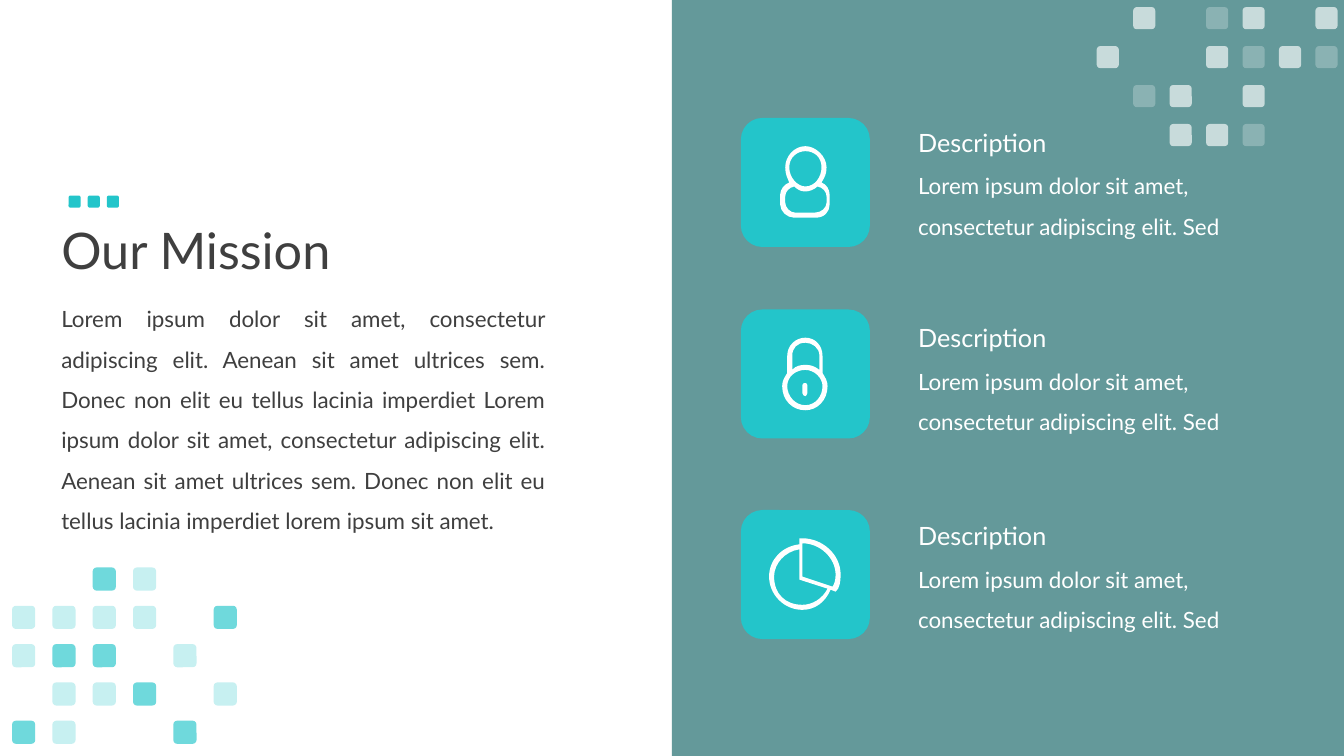
from pptx import Presentation
from pptx.dml.color import RGBColor
from pptx.enum.shapes import MSO_SHAPE
from pptx.enum.text import MSO_ANCHOR, MSO_AUTO_SIZE, PP_ALIGN
from pptx.oxml.ns import qn
from pptx.util import Inches, Pt
from lxml import etree

RECTANGLE, ROUNDED = MSO_SHAPE.RECTANGLE, MSO_SHAPE.ROUNDED_RECTANGLE
MIDDLE, TOP = MSO_ANCHOR.MIDDLE, MSO_ANCHOR.TOP
LEFT, JUSTIFY = PP_ALIGN.LEFT, PP_ALIGN.JUSTIFY
FIXED, GROW = MSO_AUTO_SIZE.NONE, MSO_AUTO_SIZE.SHAPE_TO_FIT_TEXT

WIDTH, HEIGHT = 40 / 3, 7.5
FONT = "Lato"
TEAL = RGBColor(0x12, 0x63, 0x65)
TURQUOISE = RGBColor(0x23, 0xC5, 0xCA)
WHITE = RGBColor(0xFF, 0xFF, 0xFF)
DARK = RGBColor(0x3F, 0x3F, 0x3F)

TEXT_LEFT, TILE_LEFT, DESCRIPTION_LEFT = 0.51, 7.35, 9.01
TILE = 1.28
OPACITY = {"S": 65, "f": 25, "#": 100}  # strong, faint and solid squares

MISSION = (
    "Lorem ipsum dolor sit amet, consectetur adipiscing elit. Aenean sit amet "
    "ultrices sem. Donec non elit eu tellus lacinia imperdiet Lorem ipsum dolor "
    "sit amet, consectetur adipiscing elit. Aenean sit amet ultrices sem. Donec "
    "non elit eu tellus lacinia imperdiet lorem ipsum sit amet."
)
DESCRIPTION = "Lorem ipsum dolor sit amet, consectetur adipiscing elit. Sed"

# Contours in hundredths of an inch from the tile's corner:
# two numbers are a start or straight line, six are a cubic curve.
PERSON = [
    [(80, 64), (83, 59, 85, 56, 85, 49), (85, 38, 74, 28, 64, 28),
     (53, 28, 44, 38, 44, 49), (44, 56, 46, 59, 48, 64),
     (43, 66, 39, 71, 39, 76), (39, 86), (39, 93, 46, 99, 53, 99),
     (74, 99), (83, 99, 88, 93, 88, 86), (88, 76), (88, 71, 85, 66, 80, 64)],
    [(48, 49), (48, 39, 56, 33, 64, 33), (73, 33, 80, 39, 80, 49),
     (80, 59, 73, 68, 64, 68), (56, 68, 48, 59, 48, 49)],
    [(85, 84), (85, 89, 80, 94, 73, 94), (54, 94), (49, 94, 44, 89, 44, 84),
     (44, 78), (44, 73, 48, 69, 53, 68), (56, 71, 59, 73, 64, 73),
     (68, 73, 73, 71, 76, 68), (81, 69, 85, 73, 85, 78)],
]
LOCK = [
    [(64, 73), (63, 73, 61, 73, 61, 75), (61, 83), (61, 85, 63, 86, 64, 86),
     (64, 86, 66, 85, 66, 83), (66, 75), (66, 73, 64, 73, 64, 73)],
    [(81, 63), (81, 46), (81, 36, 74, 28, 64, 28), (54, 28, 46, 36, 46, 46),
     (46, 63), (43, 68, 41, 71, 41, 76), (41, 90, 51, 100, 64, 100),
     (76, 100, 86, 90, 86, 76), (86, 71, 84, 68, 81, 63)],
    [(51, 46), (51, 38, 56, 33, 64, 33), (71, 33, 78, 38, 78, 46), (78, 60),
     (73, 56, 69, 55, 64, 55), (59, 55, 54, 56, 51, 60)],
    [(64, 95), (54, 95, 46, 86, 46, 76), (46, 67, 54, 60, 64, 60),
     (73, 60, 81, 68, 81, 76), (81, 86, 74, 95, 64, 95)],
]
PIE = [
    [(61, 28), (58, 28), (58, 34), (41, 36, 28, 49, 28, 66),
     (28, 84, 43, 99, 61, 99), (74, 99, 84, 91, 89, 79), (94, 81),
     (98, 78, 99, 71, 99, 64), (99, 44, 81, 28, 61, 28)],
    [(61, 94), (44, 94, 33, 83, 33, 66), (33, 53, 44, 41, 58, 39), (58, 69),
     (86, 78), (81, 88, 71, 94, 61, 94)],
    [(91, 76), (61, 66), (61, 33), (79, 33, 94, 48, 94, 64),
     (94, 69, 93, 73, 91, 76)],
]

# Icon, top of its tile, top of its heading
ITEMS = [(PERSON, 1.17, 1.21), (LOCK, 3.07, 3.15), (PIE, 5.06, 5.11)]
TOP_SQUARES = [".S.fS.S", "S..SfSf", ".fS.S..", "..SSf.."]
BOTTOM_SQUARES = ["..Sf..", "ffff.S", "fSS.f.", ".ffS.f", "Sf..S."]


def paint(shape, color, opacity=100):
    shape.shadow.inherit = False
    shape.line.fill.background()
    shape.fill.solid()
    shape.fill.fore_color.rgb = color
    if opacity < 100:
        color_element = shape.fill._xPr.find(".//" + qn("a:srgbClr"))
        etree.SubElement(color_element, qn("a:alpha"), val=str(opacity * 1000))


def add_block(shapes, kind, left, top, width, height, color, opacity=100):
    shape = shapes.add_shape(
        kind, Inches(left), Inches(top), Inches(width), Inches(height))
    paint(shape, color, opacity)


def add_text(slide, text, left, top, width, height, size, color,
             spacing=None, align=LEFT, anchor=TOP, fit=GROW):
    box = slide.shapes.add_textbox(
        Inches(left), Inches(top), Inches(width), Inches(height))
    frame = box.text_frame
    frame.word_wrap = True
    frame.auto_size = fit
    frame.vertical_anchor = anchor
    paragraph = frame.paragraphs[0]
    paragraph.text = text
    paragraph.alignment = align
    paragraph.line_spacing = spacing
    paragraph.font.name = FONT
    paragraph.font.size = Pt(size)
    paragraph.font.color.rgb = color


def add_squares(slide, pattern, left, top, column, row, size, color):
    """Draw one group of squares, one per letter of the pattern."""
    group = slide.shapes.add_group_shape()
    for y, marks in enumerate(pattern):
        for x, mark in enumerate(marks):
            if mark in OPACITY:
                add_block(group.shapes, ROUNDED, left + x * column,
                          top + y * row, size, size, color, OPACITY[mark])


def bend(shape, contours):
    """Join the three lines of each six-number segment into one curve."""
    lines = shape._element.iter(qn("a:lnTo"))
    lines = iter(list(lines))
    for contour in contours:
        for segment in contour[1:]:
            line = next(lines)
            if len(segment) == 6:
                line.addprevious(curve := etree.Element(qn("a:cubicBezTo")))
                for part in (line, next(lines), next(lines)):
                    curve.append(part[0])
                    part.getparent().remove(part)


def add_icon(slide, contours, left, top):
    builder = slide.shapes.build_freeform(
        *contours[0][0], scale=Inches(1) / 100)
    for number, contour in enumerate(contours):
        if number:
            builder.move_to(*contour[0])
        points = [segment[i:i + 2] for segment in contour[1:]
                  for i in range(0, len(segment), 2)]
        # A closed contour ends with a close element, not with an extra line.
        builder.add_line_segments(points, close=True)
    shape = builder.convert_to_shape(Inches(left), Inches(top))
    bend(shape, contours)
    paint(shape, WHITE)


def add_item(slide, icon, tile_top, heading_top):
    add_block(slide.shapes, ROUNDED, TILE_LEFT, tile_top, TILE, TILE, TURQUOISE)
    add_icon(slide, icon, TILE_LEFT, tile_top)
    add_text(slide, DESCRIPTION, DESCRIPTION_LEFT, heading_top + 0.32,
             3.98, 0.86, 16, WHITE, spacing=1.5)
    add_text(slide, "Description", DESCRIPTION_LEFT, heading_top,
             2.35, 0.4, 18, WHITE)


def main():
    presentation = Presentation()
    presentation.slide_width = Inches(WIDTH)
    presentation.slide_height = Inches(HEIGHT)
    slide = presentation.slides.add_slide(presentation.slide_layouts[6])

    add_block(slide.shapes, RECTANGLE, WIDTH / 2, 0, WIDTH / 2, HEIGHT, TEAL, 65)
    add_text(slide, "Our Mission", TEXT_LEFT, 1.68, 11.5, 1.67, 36, DARK,
             spacing=0.9, anchor=MIDDLE, fit=FIXED)
    add_text(slide, MISSION, TEXT_LEFT, 2.85, 5, 2.47, 16, DARK,
             spacing=1.5, align=JUSTIFY)
    for item in ITEMS:
        add_item(slide, *item)
    add_squares(slide, ["###"], 0.68, 1.94, 0.19, 0.19, 0.12, TURQUOISE)
    add_squares(slide, TOP_SQUARES, 10.88, 0.07, 2.17 / 6, 1.16 / 3, 0.22, WHITE)
    add_squares(slide, BOTTOM_SQUARES, 0.12, 5.63, 0.4, 0.38, 0.23, TURQUOISE)
    presentation.save("out.pptx")


if __name__ == "__main__":
    main()
